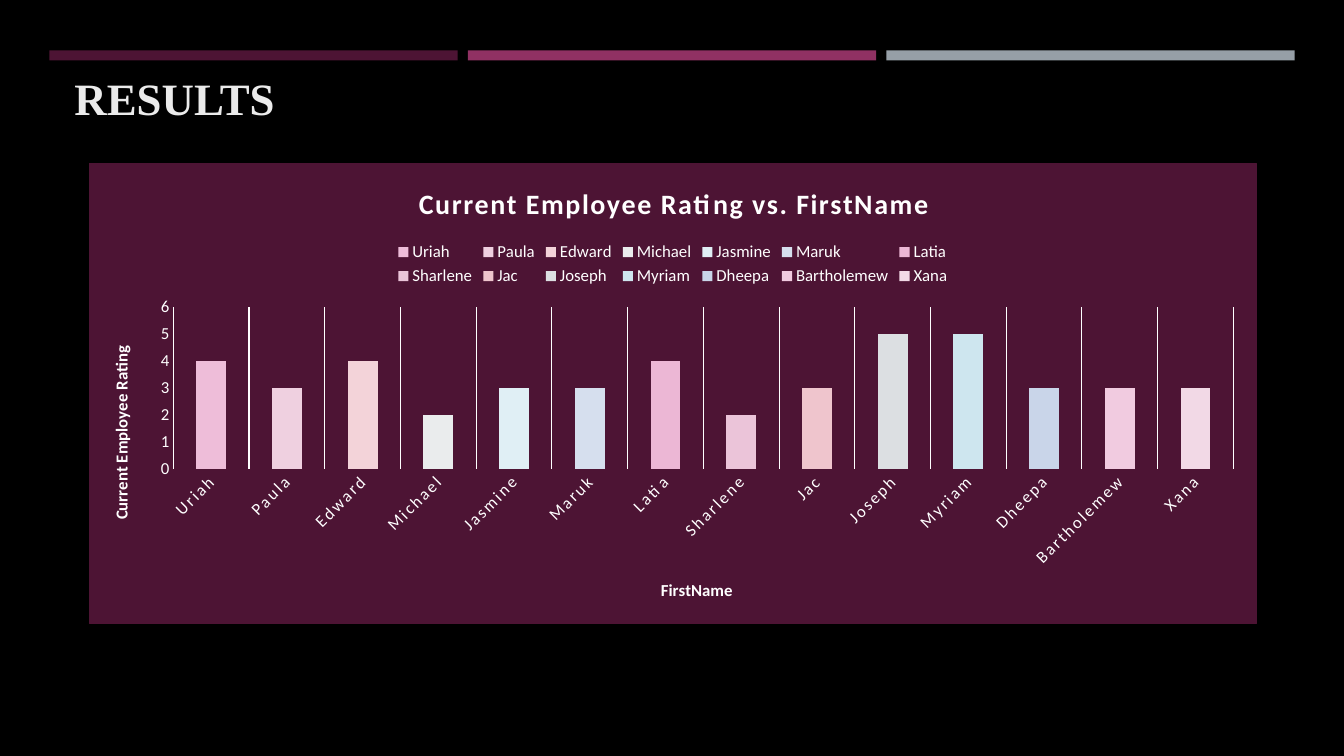
from lxml.etree import SubElement
from pptx import Presentation
from pptx.chart.data import CategoryChartData
from pptx.dml.color import RGBColor
from pptx.enum.chart import XL_CHART_TYPE, XL_LEGEND_POSITION, XL_TICK_MARK
from pptx.enum.shapes import MSO_SHAPE
from pptx.enum.text import MSO_ANCHOR
from pptx.oxml import parse_xml
from pptx.oxml.ns import nsdecls, qn
from pptx.util import Inches, Pt

BLACK = RGBColor(0x00, 0x00, 0x00)
WHITE = RGBColor(0xFF, 0xFF, 0xFF)
OFF_WHITE = RGBColor(0xEB, 0xEB, 0xEB)
PLUM = RGBColor(0x4D, 0x14, 0x34)
MAGENTA = RGBColor(0x90, 0x31, 0x63)
GREY = RGBColor(0x96, 0x9F, 0xA7)

# Name, rating and column colour of each employee
RATINGS = [
    ("Uriah", 4, RGBColor(0xEE, 0xBD, 0xD9)),
    ("Paula", 3, RGBColor(0xEF, 0xD0, 0xE0)),
    ("Edward", 4, RGBColor(0xF3, 0xD3, 0xD9)),
    ("Michael", 2, RGBColor(0xEA, 0xEC, 0xED)),
    ("Jasmine", 3, RGBColor(0xE0, 0xEF, 0xF5)),
    ("Maruk", 3, RGBColor(0xD6, 0xDF, 0xEE)),
    ("Latia", 4, RGBColor(0xEC, 0xB7, 0xD5)),
    ("Sharlene", 2, RGBColor(0xEB, 0xC4, 0xD9)),
    ("Jac", 3, RGBColor(0xEF, 0xC5, 0xCD)),
    ("Joseph", 5, RGBColor(0xDC, 0xDF, 0xE2)),
    ("Myriam", 5, RGBColor(0xCE, 0xE6, 0xEF)),
    ("Dheepa", 3, RGBColor(0xC9, 0xD5, 0xE9)),
    ("Bartholemew", 3, RGBColor(0xF1, 0xCB, 0xE0)),
    ("Xana", 3, RGBColor(0xF2, 0xD9, 0xE6)),
]


def place(element, index, **fractions):
    """Give a chart part a manual layout, in fractions of the chart area."""
    for old_layout in element.findall(qn("c:layout")):
        element.remove(old_layout)
    layout = parse_xml(f"<c:layout {nsdecls('c')}><c:manualLayout/></c:layout>")
    manual = layout[0]
    if index == 0:
        SubElement(manual, qn("c:layoutTarget")).set("val", "inner")
    for axis in "xy":
        SubElement(manual, qn(f"c:{axis}Mode")).set("val", "edge")
    for key, fraction in fractions.items():
        SubElement(manual, qn(f"c:{key}")).set("val", str(fraction))
    element.insert(index, layout)


class ResultsSlide:
    heading_font = "Times New Roman"
    chart_font = "Calibri"

    def __init__(self, presentation):
        self.slide = presentation.slides.add_slide(presentation.slide_layouts[6])
        background = self.slide.background.fill
        background.solid()
        background.fore_color.rgb = BLACK

    def style(self, font, size, color=WHITE, bold=False, name=chart_font):
        font.name, font.size, font.bold = name, Pt(size), bold
        font.color.rgb = color

    def bar(self, left, color):
        bar = self.slide.shapes.add_shape(
            MSO_SHAPE.RECTANGLE, Inches(left), Inches(0.5), Inches(4.05), Inches(0.1))
        bar.shadow.inherit = False
        bar.fill.solid()
        bar.fill.fore_color.rgb = color
        bar.line.fill.background()

    def heading(self, text):
        box = self.slide.shapes.add_textbox(
            Inches(0.64), Inches(0.65), Inches(7.59), Inches(0.64))
        frame = box.text_frame
        frame.word_wrap = True
        frame.vertical_anchor = MSO_ANCHOR.MIDDLE
        frame.text = text
        self.style(frame.paragraphs[0].font, 32, OFF_WHITE, True, self.heading_font)

    def chart_label(self, title, text, size, x, y):
        frame = title.text_frame
        frame.text = text
        self.style(frame.paragraphs[0].font, size, bold=True)
        place(title._element, 1, x=x, y=y)
        return frame

    def axis(self, axis, text, x, y):
        axis.major_tick_mark = axis.minor_tick_mark = XL_TICK_MARK.NONE
        axis.format.line.fill.background()
        self.style(axis.tick_labels.font, 12)
        return self.chart_label(axis.axis_title, text, 12, x, y)

    def rating_chart(self):
        names, ratings, colors = zip(*RATINGS)
        data = CategoryChartData()
        data.categories = names
        data.add_series("Series 1", ratings)
        chart = self.slide.shapes.add_chart(
            XL_CHART_TYPE.COLUMN_CLUSTERED, Inches(0.88), Inches(1.62),
            Inches(11.59), Inches(4.57), data).chart
        self.style(chart.font, 10)
        chart.element.find(qn("c:txPr")).addprevious(parse_xml(
            f"<c:spPr {nsdecls('c', 'a')}>"
            f'<a:solidFill><a:srgbClr val="{PLUM}"/></a:solidFill>'
            f'<a:ln w="9525"><a:solidFill><a:srgbClr val="{PLUM}"/></a:solidFill></a:ln>'
            "</c:spPr>"))

        plot = chart.plots[0]
        plot.gap_width = 154
        plot.vary_by_categories = True
        for index, color in enumerate(colors):
            fill = plot.series[0].points[index].format.fill
            fill.solid()
            fill.fore_color.rgb = color
        place(chart.element.chart.plotArea, 0, x=0.072, y=0.312, w=0.908, h=0.352)

        title = self.chart_label(
            chart.chart_title, "Current Employee Rating vs. FirstName", 20, 0.278, 0.033)
        title.paragraphs[0].font._rPr.set("spc", "100")

        names_axis = chart.category_axis
        self.axis(names_axis, "FirstName", 0.487, 0.897)
        names_axis.tick_labels.font._rPr.set("spc", "160")
        names_axis._element.find(qn("c:txPr")).find(qn("a:bodyPr")).set("rot", "-2700000")
        names_axis.has_major_gridlines = True
        gridline = names_axis.major_gridlines.format.line
        gridline.color.rgb = WHITE
        gridline.width = Pt(0.75)

        rating_axis = chart.value_axis
        label = self.axis(rating_axis, "Current Employee Rating", 0.015, 0.39)
        label._txBody.find(qn("a:bodyPr")).set("rot", "-5400000")
        rating_axis.has_major_gridlines = False
        rating_axis.minimum_scale, rating_axis.maximum_scale = 0, 6
        rating_axis.major_unit = 1

        chart.has_legend = True
        legend = chart.legend
        legend.position = XL_LEGEND_POSITION.TOP
        legend.include_in_layout = False
        self.style(legend.font, 12)
        place(legend._element, 1, x=0.26, y=0.162)


def main():
    presentation = Presentation()
    presentation.slide_width = Inches(13.33)
    presentation.slide_height = Inches(7.5)
    results = ResultsSlide(presentation)
    for column, color in enumerate((PLUM, MAGENTA, GREY)):
        results.bar(0.49 + 4.15 * column, color)
    results.heading("RESULTS")
    results.rating_chart()
    presentation.save("out.pptx")


if __name__ == "__main__":
    main()
